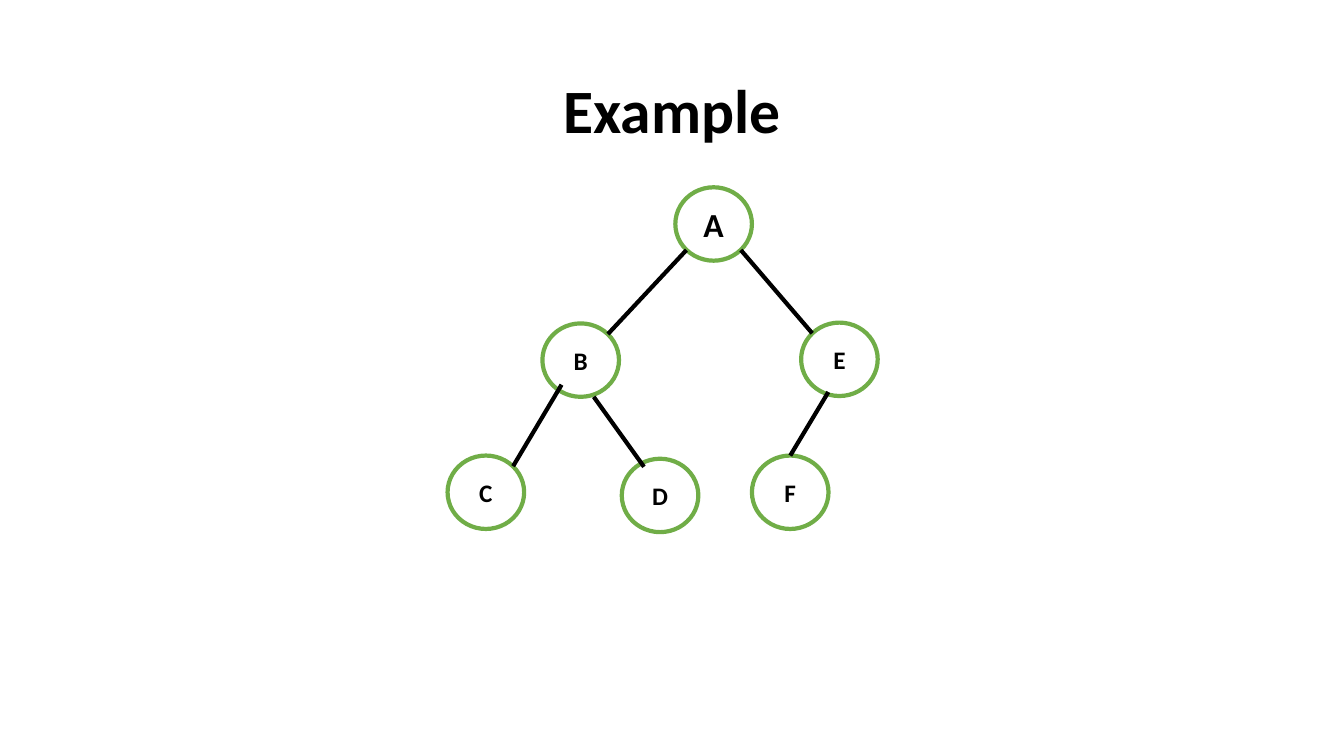
from dataclasses import dataclass

from lxml.etree import SubElement
from pptx import Presentation
from pptx.dml.color import RGBColor
from pptx.enum.shapes import MSO_CONNECTOR, MSO_SHAPE
from pptx.enum.text import MSO_ANCHOR, PP_ALIGN
from pptx.oxml.ns import qn
from pptx.util import Cm, Pt

TITLE = "Example"

# Letter: left and top in centimetres
NODES = {
    "A": (17.02, 4.72),
    "B": (13.67, 8.15),
    "E": (20.19, 8.13),
    "C": (11.28, 11.48),
    "D": (15.67, 11.56),
    "F": (18.95, 11.48),
}
NODE_WIDTH, NODE_HEIGHT = 1.93, 1.85
ROOT = "A"

# Edge ends, measured from a node's centre in units of its radii
DIAGONAL = 0.71
TOP = (0, -1)
TOP_LEFT, TOP_RIGHT = (-DIAGONAL, -DIAGONAL), (DIAGONAL, -DIAGONAL)
BOTTOM_LEFT, BOTTOM_RIGHT = (-DIAGONAL, DIAGONAL), (DIAGONAL, DIAGONAL)
EDGES = [
    ("A", BOTTOM_LEFT, "B", TOP_RIGHT),
    ("B", (-0.5, 0.67), "C", TOP_RIGHT),
    ("A", BOTTOM_RIGHT, "E", TOP_LEFT),
    ("B", (0.34, 1), "D", (-0.42, -0.78)),
    ("E", (-0.29, 0.89), "F", TOP),
]


@dataclass(frozen=True)
class Theme:
    font: str = "Calibri"
    ink: RGBColor = RGBColor(0x00, 0x00, 0x00)
    paper: RGBColor = RGBColor(0xFF, 0xFF, 0xFF)
    outline: RGBColor = RGBColor(0x70, 0xAD, 0x47)
    title_size: Pt = Pt(44)
    root_size: Pt = Pt(24)
    node_size: Pt = Pt(18)
    line_width: Pt = Pt(3)


THEME = Theme()


def write(shape, text, size, line_spacing=None):
    frame = shape.text_frame
    frame.word_wrap = True
    frame.vertical_anchor = MSO_ANCHOR.MIDDLE
    para = frame.paragraphs[0]
    para.alignment = PP_ALIGN.CENTER
    para.line_spacing = line_spacing
    span = para.add_run()
    span.text = text
    span.font.name = THEME.font
    span.font.size = size
    span.font.bold = True
    span.font.color.rgb = THEME.ink


def add_node(page, letter):
    left, top = NODES[letter]
    node = page.shapes.add_shape(
        MSO_SHAPE.OVAL, Cm(left), Cm(top), Cm(NODE_WIDTH), Cm(NODE_HEIGHT))
    node.shadow.inherit = False
    node.fill.solid()
    node.fill.fore_color.rgb = THEME.paper
    node.line.color.rgb = THEME.outline
    node.line.width = THEME.line_width
    write(node, letter, THEME.root_size if letter == ROOT else THEME.node_size)
    return node


def edge_point(letter, offset):
    left, top = NODES[letter]
    return (Cm(left + NODE_WIDTH / 2 * (1 + offset[0])),
            Cm(top + NODE_HEIGHT / 2 * (1 + offset[1])))


def add_edge(page, nodes, parent, start, child, end):
    edge = page.shapes.add_connector(
        MSO_CONNECTOR.STRAIGHT, *edge_point(parent, start), *edge_point(child, end))
    edge.line.color.rgb = THEME.ink
    edge.line.width = THEME.line_width
    SubElement(edge.element.spPr, qn("a:effectLst"))
    if end == TOP:
        edge.end_connect(nodes[child], 0)


def main():
    deck = Presentation()
    deck.slide_width, deck.slide_height = Cm(33.87), Cm(19.05)
    page = deck.slides.add_slide(deck.slide_layouts.get_by_name("Title Only"))

    title = page.shapes.title
    title.left, title.top = Cm(2.33), Cm(1.01)
    title.width, title.height = Cm(29.21), Cm(3.68)
    write(title, TITLE, THEME.title_size, line_spacing=0.9)

    nodes = {letter: add_node(page, letter) for letter in NODES}
    for edge in EDGES:
        add_edge(page, nodes, *edge)

    deck.save("out.pptx")


if __name__ == "__main__":
    main()
